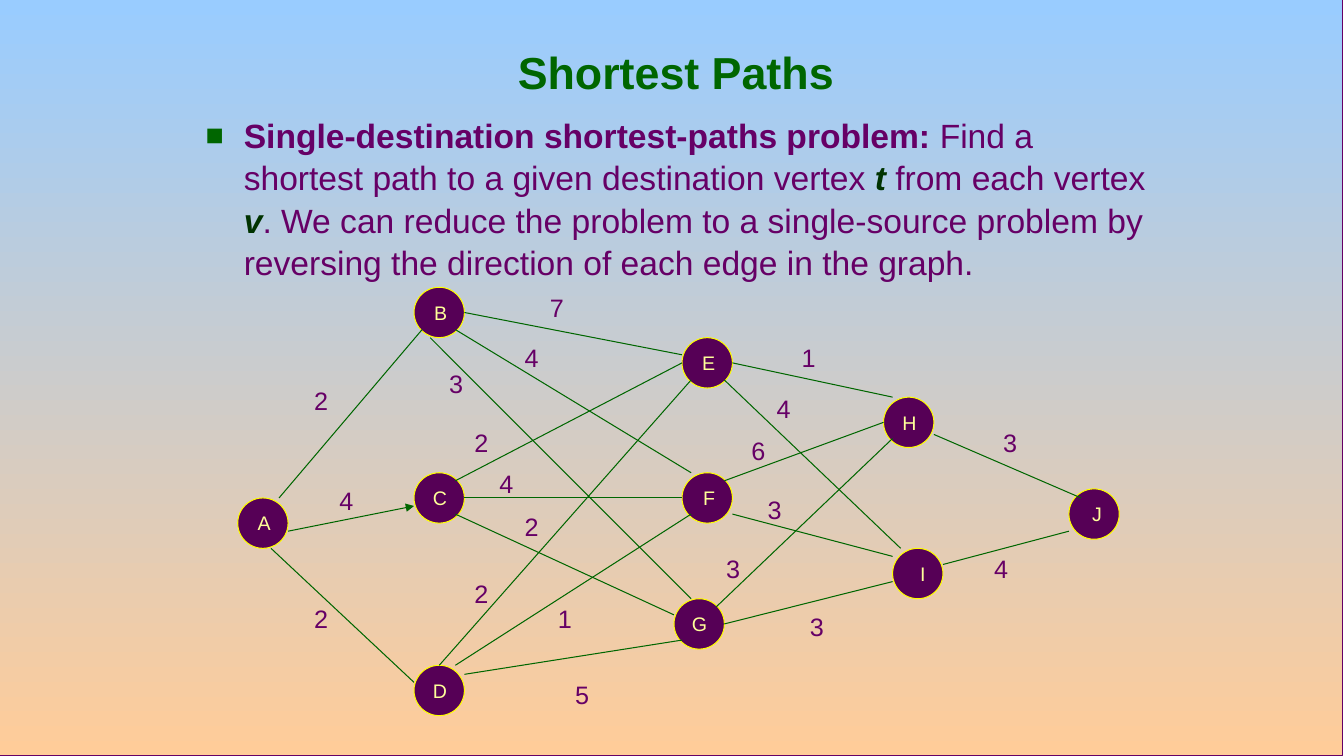
from lxml import etree
from pptx import Presentation
from pptx.dml.color import RGBColor
from pptx.enum.shapes import MSO_CONNECTOR, MSO_SHAPE
from pptx.enum.text import MSO_ANCHOR, MSO_AUTO_SIZE, PP_ALIGN
from pptx.oxml.ns import qn
from pptx.util import Inches, Pt

STRAIGHT = MSO_CONNECTOR.STRAIGHT
RECT, OVAL = MSO_SHAPE.RECTANGLE, MSO_SHAPE.OVAL
TOP, MIDDLE = MSO_ANCHOR.TOP, MSO_ANCHOR.MIDDLE
LEFT, CENTER, RIGHT = PP_ALIGN.LEFT, PP_ALIGN.CENTER, PP_ALIGN.RIGHT
NO_FIT = MSO_AUTO_SIZE.NONE

FONT = "Arial"
COLORS = {
    "sky": "99CCFF", "sand": "FFCC99", "purple": "660066", "green": "006600",
    "dark_green": "003300", "node": "560056", "node_line": "FFFF00",
    "node_text": "FFFF99",
}
NODE_SIZE = 0.5

# Top left corner of each vertex
NODES = {
    "A": (2.36, 4.94), "B": (4.11, 2.85), "C": (4.11, 4.69), "D": (4.11, 6.6),
    "E": (6.77, 3.35), "F": (6.77, 4.69), "G": (6.69, 5.94),
    "H": (8.77, 3.94), "I": (8.86, 5.44), "J": (10.61, 4.85),
}

# Start, end, weight and top left corner of the weight
EDGES = [
    ((2.77, 4.94), (4.19, 3.27), "2", (3.02, 3.77)),   # A-B
    ((2.86, 5.27), (4.11, 5.02), "4", (3.27, 4.77)),   # A-C
    ((2.69, 5.44), (4.11, 6.77), "2", (3.02, 5.94)),   # A-D
    ((4.61, 3.1), (6.77, 3.52), "7", (5.36, 2.85)),    # B-E
    ((6.86, 4.69), (4.52, 3.27), "4", (5.11, 3.35)),   # B-F
    ((6.86, 5.94), (4.27, 3.35), "3", (4.36, 3.6)),    # B-G
    ((6.77, 3.6), (4.52, 4.77), "2", (4.61, 4.19)),    # C-E
    ((4.61, 4.94), (6.77, 4.94), "4", (4.86, 4.6)),    # C-F
    ((4.52, 5.1), (6.69, 6.1), "2", (5.11, 5.02)),     # C-G
    ((4.36, 6.6), (6.86, 3.77), "2", (4.61, 5.69)),    # D-E
    ((6.86, 5.1), (4.52, 6.6), "1", (5.44, 5.94)),     # D-F
    ((4.61, 6.69), (6.77, 6.35), "5", (5.61, 6.69)),   # D-G
    ((7.27, 3.6), (8.86, 3.94), "1", (7.86, 3.35)),    # E-H
    ((8.94, 5.44), (7.19, 3.77), "4", (7.61, 3.85)),   # E-I
    ((8.77, 4.19), (7.19, 4.77), "6", (7.36, 4.27)),   # F-H
    ((7.27, 5.1), (8.86, 5.52), "3", (7.52, 4.85)),    # F-I
    ((8.86, 4.35), (7.11, 6.02), "3", (7.11, 5.44)),   # G-H
    ((8.86, 5.77), (7.19, 6.19), "3", (7.94, 6.02)),   # G-I
    ((9.27, 4.31), (10.73, 4.94), "3", (9.86, 4.19)),  # H-J
    ((10.61, 5.27), (9.36, 5.6), "4", (9.77, 5.44)),   # I-J
]
DIRECTED_EDGE = 1  # only A-C has an arrowhead

# Text, colour, bold, italic
PROBLEM = [
    ("Single-destination shortest-paths problem: ", "purple", True, False),
    ("Find a shortest path to a given destination vertex ", "purple", False, False),
    ("t", "dark_green", True, True),
    (" from each vertex ", "purple", False, False),
    ("v", "dark_green", True, True),
    (". We can reduce the problem to a single-source problem by reversing "
     "the direction of each edge in the graph.", "purple", False, False),
]


def rgb(name):
    return RGBColor.from_string(COLORS[name])


def place(sp, left, top, width, height):
    sp.left, sp.top = Inches(left), Inches(top)
    sp.width, sp.height = Inches(width), Inches(height)


def set_frame(tf, anchor, wrap=True):
    tf.auto_size = NO_FIT
    tf.vertical_anchor = anchor
    tf.word_wrap = wrap


def set_indent(p, inches):
    pPr = p._p.get_or_add_pPr()
    pPr.set("marL", str(Inches(inches)))
    pPr.set("indent", str(-Inches(inches)))
    return pPr


def add_run(p, text, size, color, bold=False, italic=False):
    r = p.add_run()
    r.text = text
    r.font.name, r.font.size = FONT, Pt(size)
    r.font.bold, r.font.italic = bold, italic
    r.font.color.rgb = rgb(color)


def add_backdrop(slide):
    sp = slide.shapes.add_shape(RECT, 0, 0, Inches(13.33), Inches(7.5))
    sp.shadow.inherit = False
    sp.fill.gradient()
    sp.fill.gradient_angle = 270
    for stop, color, position in zip(sp.fill.gradient_stops, ("sky", "sand"), (0, 1)):
        stop.color.rgb = rgb(color)
        stop.position = position
    sp.line.color.rgb = rgb("purple")
    sp.line.width = Pt(0.75)
    slide.shapes._spTree.insert(2, sp._element)  # behind the placeholders


def fill_title(sp):
    place(sp, 2.46, 0.46, 8.5, 0.51)
    tf = sp.text_frame
    set_frame(tf, MIDDLE)
    tf.margin_top = tf.margin_bottom = 0
    p = tf.paragraphs[0]
    p.alignment = CENTER
    add_run(p, "Shortest Paths", 32, "green", bold=True)


def fill_body(sp):
    place(sp, 1.94, 1.07, 9.54, 1.82)
    set_frame(sp.text_frame, TOP)
    p = sp.text_frame.paragraphs[0]
    p.alignment, p.space_before, p.line_spacing = LEFT, Pt(6), 1.05
    pPr = set_indent(p, 0.38)
    bullet_color = etree.SubElement(pPr, qn("a:buClr"))
    etree.SubElement(bullet_color, qn("a:srgbClr"), val=COLORS["green"])
    etree.SubElement(pPr, qn("a:buSzPct"), val="90000")
    etree.SubElement(pPr, qn("a:buFont"), typeface=FONT)
    etree.SubElement(pPr, qn("a:buChar"), char="■")
    for text, color, bold, italic in PROBLEM:
        add_run(p, text, 24, color, bold, italic)


def add_node(slide, name, left, top):
    sp = slide.shapes.add_shape(OVAL, Inches(left), Inches(top),
                                Inches(NODE_SIZE), Inches(NODE_SIZE))
    sp.shadow.inherit = False
    sp.fill.solid()
    sp.fill.fore_color.rgb = rgb("node")
    sp.line.color.rgb = rgb("node_line")
    sp.line.width = Pt(0.75)
    set_frame(sp.text_frame, MIDDLE, wrap=False)
    p = sp.text_frame.paragraphs[0]
    p.alignment, p.space_before = RIGHT, Pt(3.5)
    set_indent(p, 0.31)
    add_run(p, name, 14, "node_text")


def add_edge(slide, start, end, arrow):
    x1, y1, x2, y2 = (Inches(v) for v in start + end)
    line = slide.shapes.add_connector(STRAIGHT, x1, y1, x2, y2)
    line.line.color.rgb = rgb("green")
    line.line.width = Pt(0.75)
    if arrow:
        etree.SubElement(line.line._get_or_add_ln(), qn("a:tailEnd"), type="triangle")
    etree.SubElement(line._element.spPr, qn("a:effectLst"))


def add_weight(slide, text, left, top):
    sp = slide.shapes.add_textbox(Inches(left), Inches(top), Inches(0.33), Inches(0.42))
    set_frame(sp.text_frame, TOP)
    p = sp.text_frame.paragraphs[0]
    p.space_before = Pt(4.5)
    set_indent(p, 0.38)
    add_run(p, text, 18, "purple")


def main():
    prs = Presentation()
    prs.slide_width, prs.slide_height = Inches(13.34), Inches(7.5)
    slide = prs.slides.add_slide(prs.slide_layouts[1])

    # Backdrop, title and problem statement
    add_backdrop(slide)
    fill_title(slide.shapes.title)
    fill_body(slide.placeholders[1])

    # Weighted graph
    for name, (left, top) in NODES.items():
        add_node(slide, name, left, top)
    for i, (start, end, _, _) in enumerate(EDGES):
        add_edge(slide, start, end, arrow=i == DIRECTED_EDGE)
    for _, _, weight, (left, top) in EDGES:
        add_weight(slide, weight, left, top)

    prs.save("out.pptx")


if __name__ == "__main__":
    main()
